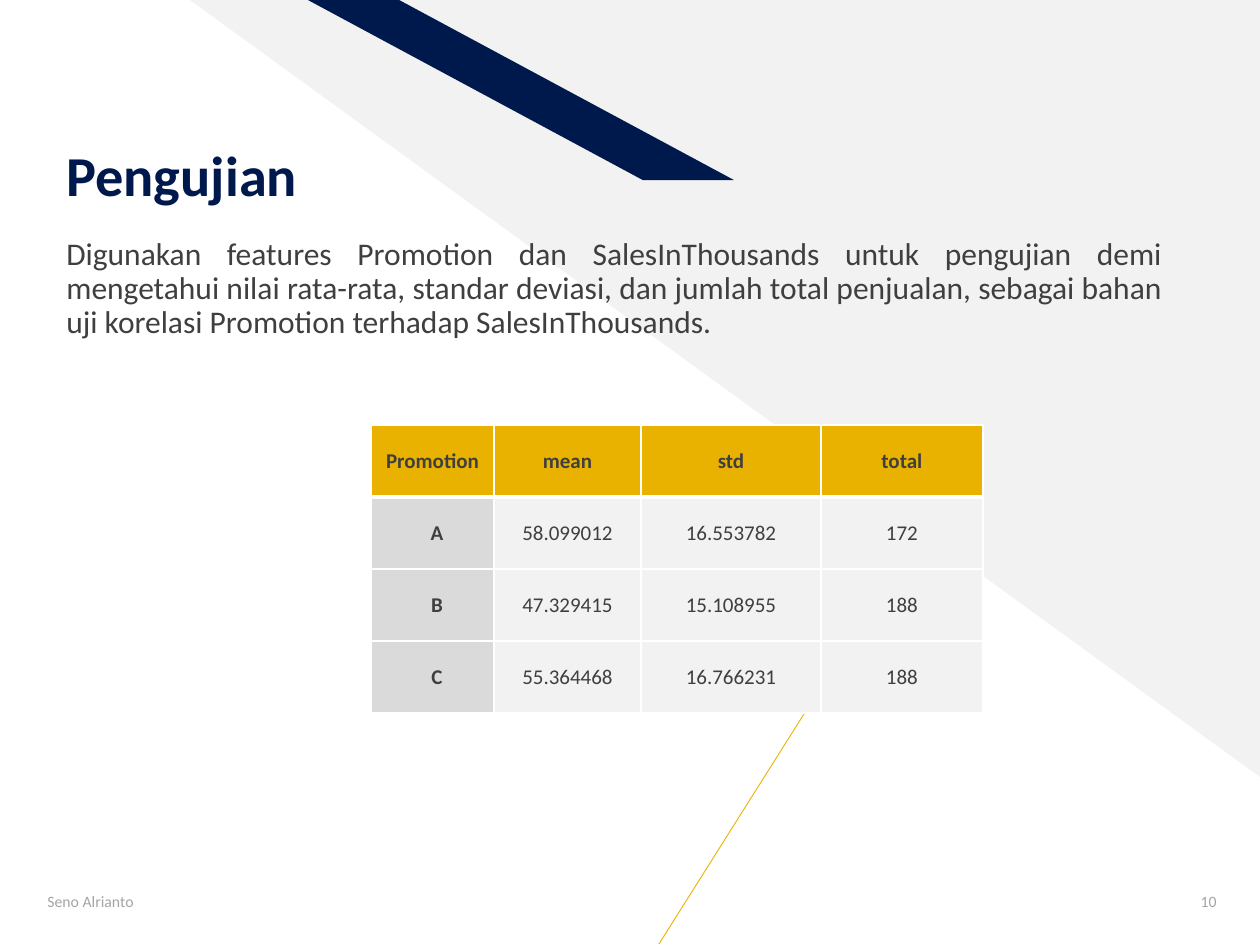
from lxml import etree
from pptx import Presentation
from pptx import util as u
from pptx.dml.color import RGBColor
from pptx.enum import shapes, text
from pptx.oxml.ns import qn

PX = 914400 / 126
FONT = "Calibri"
NAVY = RGBColor(0x00, 0x19, 0x4C)
GOLD = RGBColor(0xEA, 0xB2, 0x00)
PALE = RGBColor(0xF2, 0xF2, 0xF2)
SILVER = RGBColor(0xDA, 0xDA, 0xDA)
MUTED = RGBColor(0xA5, 0xA5, 0xA5)
INK = RGBColor(0x3F, 0x3F, 0x3F)
WHITE = RGBColor(0xFF, 0xFF, 0xFF)

HEADER = ["Promotion", "mean", "std", "total"]
RESULTS = [
    ["A", "58.099012", "16.553782", "172"],
    ["B", "47.329415", "15.108955", "188"],
    ["C", "55.364468", "16.766231", "188"],
]
COLUMN_WIDTHS = [123, 147, 180, 162]
ROW_HEIGHT = 72


def px(*lengths):
    return [u.Emu(round(length * PX)) for length in lengths]


def add_panel(slide, kind, box, color):
    panel = slide.shapes.add_shape(kind, *px(*box))
    panel.shadow.inherit = False
    panel.fill.solid()
    panel.fill.fore_color.rgb = color
    panel.line.fill.background()
    return panel


def add_line(slide, ends, color, width):
    line = slide.shapes.add_connector(shapes.MSO_CONNECTOR.STRAIGHT, *px(*ends))
    line.line.color.rgb = color
    line.line.width = u.Pt(width)
    etree.SubElement(line._element.spPr, qn("a:effectLst"))


def write(paragraph, words, size, color, bold=False, align=text.PP_ALIGN.LEFT):
    paragraph.alignment = align
    run = paragraph.add_run()
    run.text = words
    run.font.name = FONT
    run.font.size = u.Pt(size)
    run.font.bold = bold
    run.font.color.rgb = color


def add_text(slide, box, words, size, color, anchor=text.MSO_ANCHOR.MIDDLE,
             spacing=1.0, **style):
    frame = slide.shapes.add_textbox(*px(*box)).text_frame
    frame.word_wrap = True
    frame.vertical_anchor = anchor
    frame.paragraphs[0].line_spacing = spacing
    write(frame.paragraphs[0], words, size, color, **style)
    return frame


def set_borders(cell, **widths):
    properties = cell._tc.get_or_add_tcPr()
    for side in "LRTB":
        width = u.Pt(widths.get(side, 1))
        border = etree.SubElement(properties, qn(f"a:ln{side}"), w=str(width))
        fill = etree.SubElement(border, qn("a:solidFill"))
        etree.SubElement(fill, qn("a:srgbClr"), val=str(WHITE))


def fill_cell(cell, words, row, column):
    header, label = row == 0, column == 0
    cell.vertical_anchor = text.MSO_ANCHOR.MIDDLE
    left = 19 if label and not header else 10
    cell.margin_left, cell.margin_right = px(left, 10)
    cell.margin_top, cell.margin_bottom = px(5, 5)
    # The rule under the header is shared by the first two rows
    set_borders(cell, T=3 if row == 1 else 1, B=3 if header else 1)
    cell.fill.solid()
    cell.fill.fore_color.rgb = GOLD if header else SILVER if label else PALE
    write(cell.text_frame.paragraphs[0], words, 12, INK,
          bold=header or label, align=text.PP_ALIGN.CENTER)


def add_results_table(slide, left, top):
    rows = [HEADER] + RESULTS
    size = sum(COLUMN_WIDTHS), ROW_HEIGHT * len(rows)
    table = slide.shapes.add_table(
        len(rows), len(HEADER), *px(left, top, *size)).table
    for column, width in zip(table.columns, px(*COLUMN_WIDTHS)):
        column.width = width
    for r, values in enumerate(rows):
        table.rows[r].height = px(ROW_HEIGHT)[0]
        for c, words in enumerate(values):
            fill_cell(table.cell(r, c), words, r, c)


def main():
    deck = Presentation()
    deck.slide_width, deck.slide_height = px(1260, 945)
    slide = deck.slides.add_slide(deck.slide_layouts[6])

    # Background decoration
    corner = add_panel(slide, shapes.MSO_SHAPE.RIGHT_TRIANGLE,
                       (190, 0, 1070, 777), PALE)
    corner.rotation = 180
    stripe = add_panel(slide, shapes.MSO_SHAPE.PARALLELOGRAM,
                       (308, 0, 426, 180), NAVY)
    stripe.adjustments[0] = 1.86
    stripe._element.spPr.find(qn("a:xfrm")).set("flipH", "1")
    add_line(slide, (659, 944, 816, 695), GOLD, 0.5)

    # Footer
    add_text(slide, (35, 876, 426, 50), "Seno Alrianto", 9, MUTED)
    add_text(slide, (1152, 876, 77, 50), "10", 9, MUTED,
             align=text.PP_ALIGN.RIGHT)

    # Title and explanation
    title = add_text(slide, (54, 29, 624, 180), "Pengujian", 32.2, NAVY,
                     anchor=text.MSO_ANCHOR.BOTTOM, spacing=0.9, bold=True)
    title.margin_bottom = 0
    add_text(slide, (54, 232, 1121, 213),
             "Digunakan features Promotion dan SalesInThousands untuk pengujian "
             "demi mengetahui nilai rata-rata, standar deviasi, dan jumlah total "
             "penjualan, sebagai bahan uji korelasi Promotion terhadap "
             "SalesInThousands.",
             18, INK, anchor=text.MSO_ANCHOR.TOP, spacing=0.9,
             align=text.PP_ALIGN.JUSTIFY)

    # Test results
    add_results_table(slide, 371, 425)

    deck.save("out.pptx")


if __name__ == "__main__":
    main()
